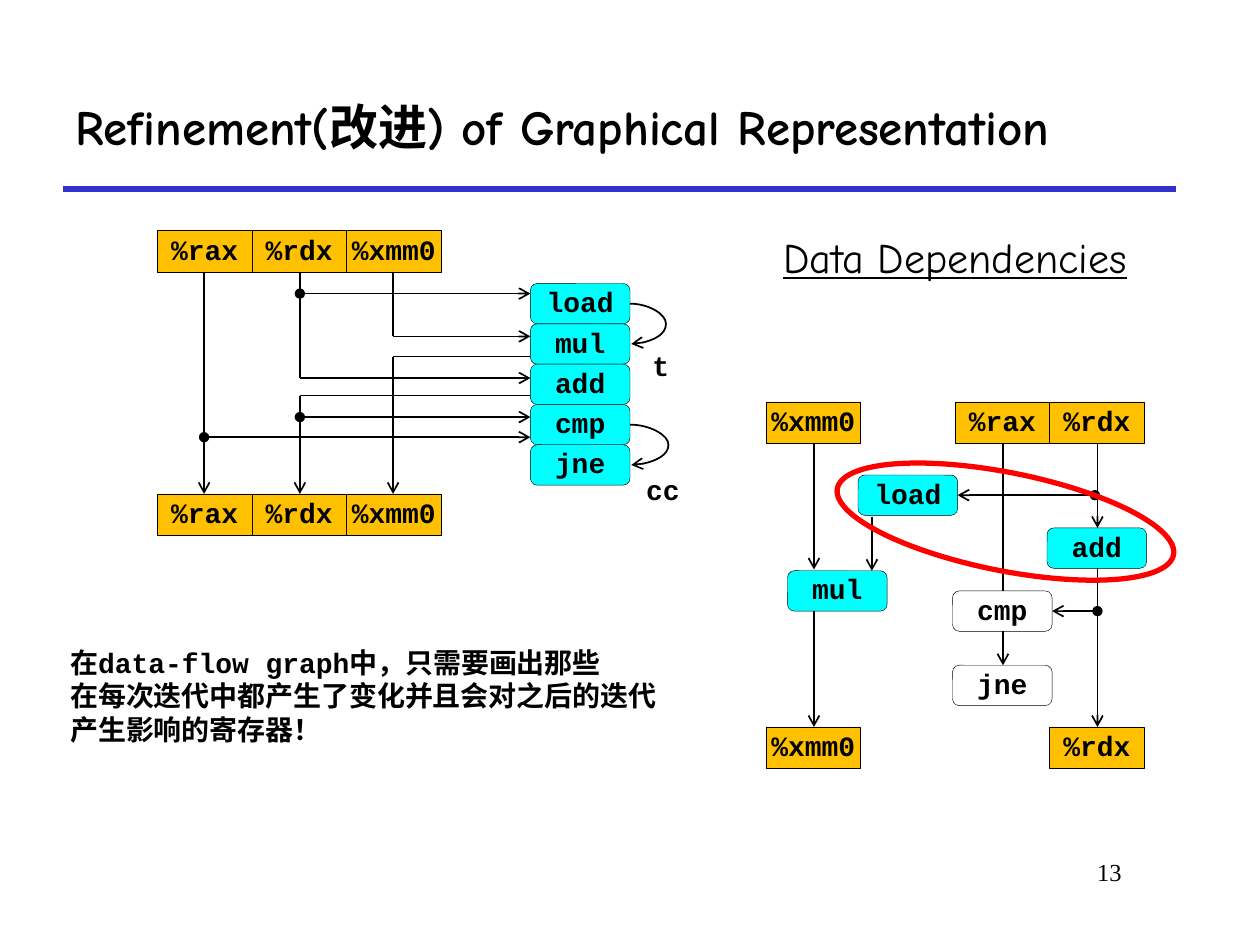
from dataclasses import dataclass

from lxml.etree import SubElement
from pptx import Presentation
from pptx.dml.color import RGBColor
from pptx.enum.shapes import MSO_CONNECTOR, MSO_SHAPE
from pptx.enum.text import MSO_ANCHOR, PP_ALIGN
from pptx.oxml.ns import qn
from pptx.util import Inches, Pt

BLACK, WHITE = "000000", "FFFFFF"
GOLD, CYAN, RED, BLUE = "FFC000", "00FFFF", "FF0000", "3333CC"
HEADING, CODE, NUMBER = "Comic Neue", "Courier New", "Times New Roman"
REGISTER_SIZE = (0.75, 0.33)
OPERATION_SIZE = (0.79, 0.32)


@dataclass
class Node:
    label: str
    left: float
    top: float
    fill: str = CYAN


@dataclass
class Flow:
    start: tuple[float, float]
    end: tuple[float, float]
    arrow: bool = True
    dot: bool = False


@dataclass
class Caption:
    lines: list[str]
    box: tuple[float, float, float, float]
    font: str
    size: int
    bold: bool = False
    underline: bool = False
    align: PP_ALIGN = PP_ALIGN.LEFT
    anchor: MSO_ANCHOR = MSO_ANCHOR.TOP
    spacing: float = 1.0
    wrap: bool = True


def colour(value: str) -> RGBColor:
    return RGBColor.from_string(value)


def set_line(line, value: str, width: float) -> None:
    line.color.rgb = colour(value)
    line.width = Pt(width)


def add_node(slide, node: Node, preset, size: tuple[float, float]) -> None:
    shape = slide.shapes.add_shape(
        preset, *map(Inches, (node.left, node.top, *size)))
    shape.shadow.inherit = False
    shape.fill.solid()
    shape.fill.fore_color.rgb = colour(node.fill)
    set_line(shape.line, BLACK, 0.25)
    frame = shape.text_frame
    frame.margin_left = frame.margin_right = 0
    frame.margin_top = frame.margin_bottom = 0
    frame.vertical_anchor = MSO_ANCHOR.MIDDLE
    frame.text = node.label
    label = frame.paragraphs[0]
    label.alignment = PP_ALIGN.CENTER
    label.line_spacing = 0.9
    properties = label._p.get_or_add_pPr()
    properties.set("marL", str(Inches(0.38)))
    properties.set("indent", str(Inches(-0.38)))
    style_runs(label, CODE, 16, True)


def add_register(slide, label: str, left: float, top: float) -> None:
    add_node(slide, Node(label, left, top, GOLD),
             MSO_SHAPE.RECTANGLE, REGISTER_SIZE)


def add_operation(slide, node: Node) -> None:
    add_node(slide, node, MSO_SHAPE.ROUNDED_RECTANGLE, OPERATION_SIZE)


def style_runs(paragraph, font: str, size: int, bold: bool = False,
               underline: bool = False) -> None:
    for run in paragraph.runs:
        run.font.name = font
        run.font.size = Pt(size)
        run.font.bold = bold
        run.font.underline = underline
        run.font.color.rgb = colour(BLACK)


def add_flow(slide, flow: Flow, kind=MSO_CONNECTOR.STRAIGHT,
             value: str = BLACK, width: float = 1):
    connector = slide.shapes.add_connector(
        kind, *map(Inches, (*flow.start, *flow.end)))
    set_line(connector.line, value, width)
    outline = connector.line._get_or_add_ln()
    if flow.dot:
        SubElement(outline, qn("a:headEnd"), type="oval")
    if flow.arrow:
        SubElement(outline, qn("a:tailEnd"), type="arrow")
    SubElement(connector._element.spPr, qn("a:effectLst"))
    return connector


def add_loop(slide, top: float, bulge: float) -> None:
    loop = add_flow(slide, Flow((5, top), (5.01, top + 0.32)),
                    MSO_CONNECTOR.CURVE)
    geometry = loop._element.spPr.find(qn("a:prstGeom"))
    guides = geometry.find(qn("a:avLst"))
    if guides is None:
        guides = SubElement(geometry, qn("a:avLst"))
    SubElement(guides, qn("a:gd"), name="adj1",
               fmla=f"val {round(bulge / 0.01 * 100000)}")


def add_caption(slide, caption: Caption) -> None:
    frame = slide.shapes.add_textbox(*map(Inches, caption.box)).text_frame
    frame.word_wrap = caption.wrap
    frame.vertical_anchor = caption.anchor
    frame.text = "\n".join(caption.lines)
    for paragraph in frame.paragraphs:
        paragraph.alignment = caption.align
        paragraph.line_spacing = caption.spacing
        style_runs(paragraph, caption.font, caption.size,
                   caption.bold, caption.underline)


def draw_instruction_flow(slide) -> None:
    for top in (1.83, 3.92):
        for column, register in enumerate(("%rax", "%rdx", "%xmm0")):
            add_register(slide, register, 1.25 + 0.75 * column, top)
    for row, operation in enumerate(("load", "mul", "add", "cmp", "jne")):
        add_operation(slide, Node(operation, 4.21, 2.25 + 0.32 * row))

    rax, rdx, xmm0, units = 1.62, 2.38, 3.12, 4.21
    for flow in (
        Flow((rax, 2.17), (rax, 3.92)),
        Flow((rdx, 2.17), (rdx, 3), arrow=False),
        Flow((rdx, 3), (units, 3)),
        Flow((rdx, 2.33), (units, 2.33), dot=True),
        Flow((xmm0, 2.67), (units, 2.67)),
        Flow((xmm0, 2.83), (units, 2.83), arrow=False),
        Flow((xmm0, 2.17), (xmm0, 2.67), arrow=False),
        Flow((xmm0, 2.83), (xmm0, 3.92)),
        Flow((rax, 3.47), (units, 3.47), dot=True),
        Flow((rdx, 3.14), (units, 3.14), arrow=False),
        Flow((rdx, 3.31), (units, 3.31), dot=True),
        Flow((rdx, 3.14), (rdx, 3.92)),
    ):
        add_flow(slide, flow)
    add_loop(slide, 2.41, 0.29)
    add_loop(slide, 3.37, 0.31)


def draw_dependencies(slide) -> None:
    for register, left, top in (
        ("%xmm0", 6.08, 3.19), ("%rax", 7.58, 3.19), ("%rdx", 8.33, 3.19),
        ("%xmm0", 6.08, 5.77), ("%rdx", 8.33, 5.77),
    ):
        add_register(slide, register, left, top)
    for operation in (
        Node("load", 6.81, 3.77), Node("mul", 6.25, 4.53),
        Node("add", 8.31, 4.19), Node("cmp", 7.56, 4.69, WHITE),
        Node("jne", 7.56, 5.28, WHITE),
    ):
        add_operation(slide, operation)

    xmm0, rax, rdx = 6.46, 7.96, 8.71
    for flow in (
        Flow((xmm0, 4.85), (xmm0, 5.77)),
        Flow((rax, 3.52), (rax, 4.69), arrow=False),
        Flow((rdx, 4.85), (8.35, 4.85), dot=True),
        Flow((8.69, 3.93), (7.6, 3.93), dot=True),
        Flow((rdx, 3.52), (rdx, 4.19)),
        Flow((rdx, 4.51), (rdx, 5.77)),
        Flow((rax, 5.01), (rax, 5.28)),
        Flow((xmm0, 3.52), (xmm0, 4.52)),
        Flow((6.92, 4.1), (6.92, 4.53)),
    ):
        add_flow(slide, flow)

    highlight = slide.shapes.add_shape(
        MSO_SHAPE.OVAL, *map(Inches, (6.62, 3.75, 2.72, 0.78)))
    highlight.shadow.inherit = False
    highlight.fill.background()
    set_line(highlight.line, RED, 3)
    highlight.rotation = 11.2


def main() -> None:
    deck = Presentation()
    deck.slide_width, deck.slide_height = Inches(10), Inches(7.5)
    slide = deck.slides.add_slide(deck.slide_layouts[6])
    add_flow(slide, Flow((0.5, 1.5), (9.33, 1.5), arrow=False),
             value=BLUE, width=3)
    draw_instruction_flow(slide)
    draw_dependencies(slide)
    for caption in (
        Caption(["Refinement(改进) of Graphical Representation"],
                (0.5, 0.5, 8.83, 1), HEADING, 28, bold=True,
                anchor=MSO_ANCHOR.MIDDLE),
        Caption(["Data Dependencies"], (5.58, 1.83, 4, 0.47), HEADING, 24,
                underline=True, align=PP_ALIGN.CENTER, spacing=0.9),
        Caption(["t"], (5.08, 2.75, 0.34, 0.35), CODE, 16, bold=True,
                spacing=0.9, wrap=False),
        Caption(["cc"], (5.03, 3.73, 0.47, 0.35), CODE, 16, bold=True,
                spacing=0.9, wrap=False),
        Caption(["在data-flow graph中，只需要画出那些",
                 "在每次迭代中都产生了变化并且会对之后的迭代",
                 "产生影响的寄存器！"],
                (0.46, 5.07, 4.9, 0.91), CODE, 16, bold=True, wrap=False),
        Caption(["13"], (7.58, 6.75, 1.42, 0.5), NUMBER, 14,
                align=PP_ALIGN.RIGHT),
    ):
        add_caption(slide, caption)
    deck.save("out.pptx")


if __name__ == "__main__":
    main()
